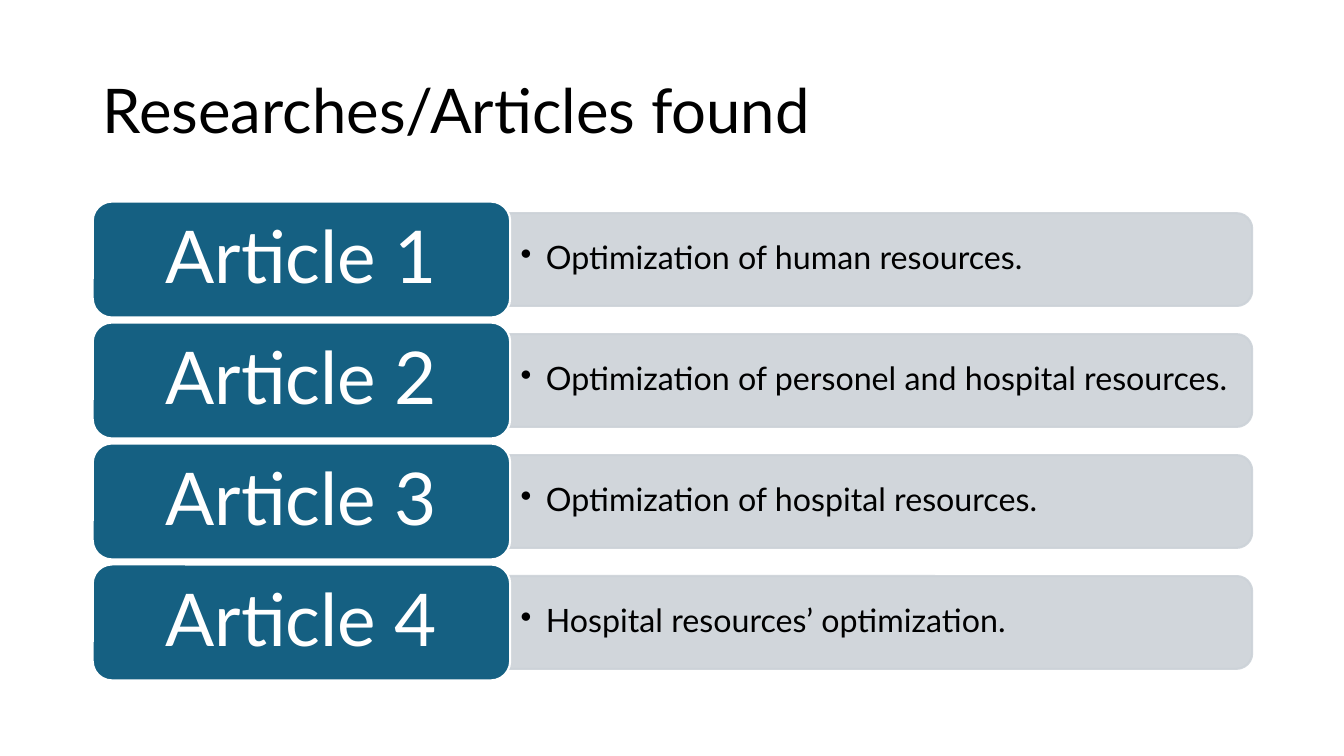
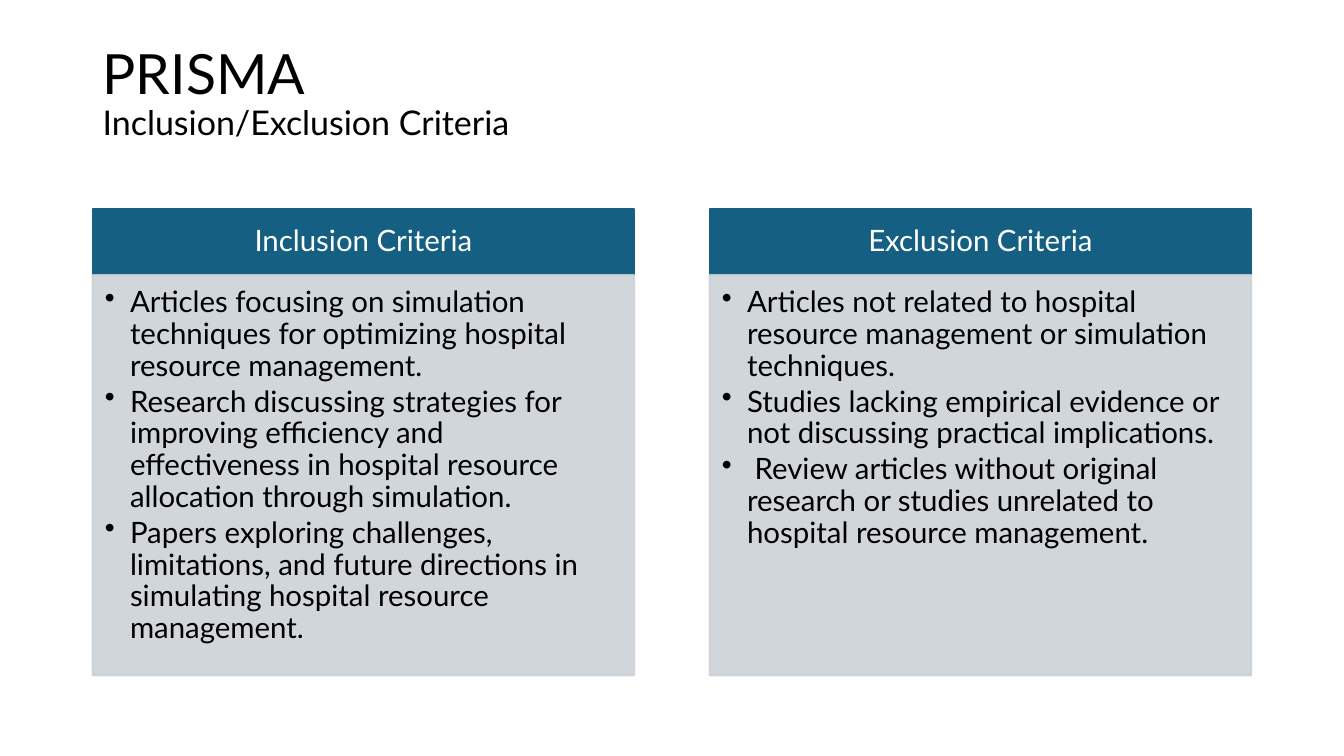
from lxml import etree
from pptx import Presentation
from pptx.dml.color import RGBColor
from pptx.enum.shapes import MSO_SHAPE
from pptx.enum.text import MSO_ANCHOR, PP_ALIGN
from pptx.oxml.ns import qn
from pptx.util import Inches, Pt

FONT = "Lato"
BLACK = RGBColor(0x00, 0x00, 0x00)
WHITE = RGBColor(0xFF, 0xFF, 0xFF)
TEAL = RGBColor(0x15, 0x60, 0x82)
GREY = RGBColor(0xCC, 0xD2, 0xD8)
GREY_OPACITY = 90

LEFT = 0.92

ARTICLES = [
    ("Article 1", "Optimization of human resources."),
    ("Article 2", "Optimization of personel and hospital resources."),
    ("Article 3", "Optimization of hospital resources."),
    ("Article 4", "Hospital resources’ optimization."),
]

CRITERIA = [
    ("Inclusion Criteria", [
        "Articles focusing on simulation techniques for optimizing hospital resource management.",
        "Research discussing strategies for improving efficiency and effectiveness in hospital "
        "resource allocation through simulation.",
        "Papers exploring challenges, limitations, and future directions in simulating hospital "
        "resource management.",
    ]),
    ("Exclusion Criteria", [
        "Articles not related to hospital resource management or simulation techniques.",
        "Studies lacking empirical evidence or not discussing practical implications.",
        " Review articles without original research or studies unrelated to hospital resource "
        "management.",
    ]),
]


def write(box, lines, sizes, color, anchor, insets=(0.1, 0.05, 0.1, 0.05),
          align=PP_ALIGN.LEFT, bullets=False):
    frame = box.text_frame
    frame.word_wrap = True
    frame.vertical_anchor = anchor
    (frame.margin_left, frame.margin_top,
     frame.margin_right, frame.margin_bottom) = map(Inches, insets)
    frame.text = "\n".join(lines)
    for para, size in zip(frame.paragraphs, sizes):
        para.alignment = align
        para.line_spacing = 0.9
        for span in para.runs:
            span.font.name = FONT
            span.font.size = Pt(size)
            span.font.color.rgb = color
        if bullets:
            para.space_after = Pt(3)
            props = para._p.get_or_add_pPr()
            props.set("marL", str(Inches(0.25)))
            props.set("indent", str(Inches(-0.25)))
            etree.SubElement(props, qn("a:buChar"), char="•")


def add_title(page, lines, sizes, height):
    box = page.shapes.add_textbox(Inches(LEFT), Inches(0.4), Inches(11.5), Inches(height))
    write(box, lines, sizes, BLACK, MSO_ANCHOR.MIDDLE)


def add_block(page, kind, left, top, width, height, fill, line):
    block = page.shapes.add_shape(kind, *map(Inches, (left, top, width, height)))
    block.shadow.inherit = False
    block.fill.solid()
    block.fill.fore_color.rgb = fill
    block.line.color.rgb = line
    block.line.width = Pt(1.5)
    return block


def add_panel(page, kind, left, top, width, height):
    panel = add_block(page, kind, left, top, width, height, GREY, GREY)
    for color in panel._element.spPr.iter(qn("a:srgbClr")):
        etree.SubElement(color, qn("a:alpha"), val=str(GREY_OPACITY * 1000))
    return panel


def build_articles(page):
    add_title(page, ["Researches/Articles found"], [44], 1.45)
    first_top, pitch = 2, 1.2
    label_width, label_height, bar_height = 4.14, 1.15, 0.92
    tuck, right = 0.2, 12.42
    bar_left = LEFT + label_width - tuck
    for row, (name, topic) in enumerate(ARTICLES):
        top = first_top + row * pitch
        bar = add_panel(page, MSO_SHAPE.ROUNDED_RECTANGLE, bar_left,
                        top + (label_height - bar_height) / 2, right - bar_left, bar_height)
        write(bar, [topic], [23], BLACK, MSO_ANCHOR.MIDDLE, (tuck + 0.06, 0.05, 0.1, 0.05),
              bullets=True)
        label = add_block(page, MSO_SHAPE.ROUNDED_RECTANGLE, LEFT, top,
                          label_width, label_height, TEAL, WHITE)
        write(label, [name], [52], WHITE, MSO_ANCHOR.MIDDLE, align=PP_ALIGN.CENTER)


def build_criteria(page):
    add_title(page, ["PRISMA", "Inclusion/Exclusion Criteria"], [39.6, 24.3], 1.08)
    width, pitch = 5.37, 6.12
    top, header_height, body_height = 2.07, 0.66, 3.97
    for column, (heading, points) in enumerate(CRITERIA):
        left = LEFT + column * pitch
        header = add_block(page, MSO_SHAPE.RECTANGLE, left, top, width, header_height, TEAL, TEAL)
        write(header, [heading], [21], WHITE, MSO_ANCHOR.MIDDLE, align=PP_ALIGN.CENTER)
        body = add_panel(page, MSO_SHAPE.RECTANGLE, left, top + header_height, width, body_height)
        write(body, points, [21] * len(points), BLACK, MSO_ANCHOR.TOP,
              (0.12, 0.12, 0.16, 0.18), bullets=True)


def main():
    deck = Presentation()
    deck.slide_width, deck.slide_height = Inches(13.33), Inches(7.5)
    for build in (build_articles, build_criteria):
        build(deck.slides.add_slide(deck.slide_layouts[6]))
    deck.save("out.pptx")


if __name__ == "__main__":
    main()
